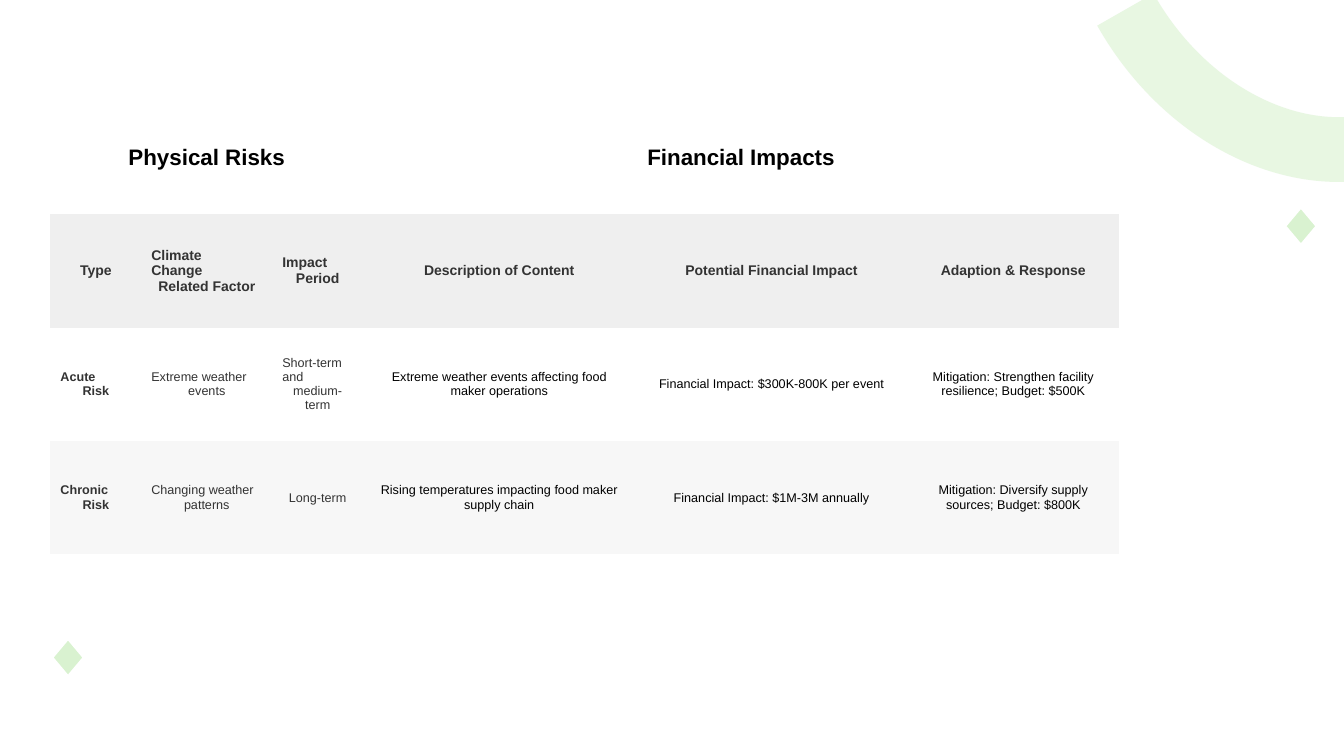
from dataclasses import dataclass

from lxml import etree
from pptx import Presentation
from pptx import util as u
from pptx.dml.color import RGBColor
from pptx.enum import shapes, text
from pptx.oxml import ns


@dataclass(frozen=True)
class Theme:
    font: str = "Arial"
    green: str = "D9F2D0"
    white: str = "FFFFFF"
    black: str = "000000"
    grey: str = "333333"
    header_fill: str = "EFEFEF"
    stripe_fill: str = "F7F7F7"
    title_size: int = 16
    header_size: int = 10
    body_size: int = 9


theme = Theme()
rgb = RGBColor.from_string


def write_cell(cell, wording, *, fill, size, color, bold=False):
    cell.fill.solid()
    cell.fill.fore_color.rgb = rgb(fill)
    cell.vertical_anchor = text.MSO_ANCHOR.MIDDLE
    paragraph = cell.text_frame.paragraphs[0]
    paragraph.alignment = text.PP_ALIGN.CENTER
    run = paragraph.add_run()
    run.text = wording
    run.font.name = theme.font
    run.font.size = u.Pt(size)
    run.font.bold = bold
    run.font.color.rgb = rgb(color)


deck = Presentation()
deck.slide_width, deck.slide_height = u.Cm(33.87), u.Cm(19.05)
slide = deck.slides.add_slide(deck.slide_layouts[6])

# Corner arc, a thick translucent stroke
arc = slide.shapes.add_shape(
    shapes.MSO_SHAPE.ARC, u.Cm(27.69), u.Cm(-8.59), u.Cm(10.16), u.Cm(12.62))
arc.shadow.inherit = False
arc.rotation = 151.3
arc.adjustments[0], arc.adjustments[1] = 152.05, 215.37
arc.fill.background()
arc.line.color.rgb = rgb(theme.green)
arc.line.width = u.Pt(46.25)
arc_color = arc.line._ln.find(".//" + ns.qn("a:srgbClr"))
etree.SubElement(arc_color, ns.qn("a:alpha"), val="60000")

for left, top in [(32.39, 5.23), (1.32, 16.1)]:
    diamond = slide.shapes.add_shape(
        shapes.MSO_SHAPE.DIAMOND, u.Cm(left), u.Cm(top), u.Cm(0.79), u.Cm(0.94))
    diamond.shadow.inherit = False
    diamond.fill.solid()
    diamond.fill.fore_color.rgb = rgb(theme.green)
    diamond.line.color.rgb = rgb(theme.white)
    diamond.line.width = u.Pt(1.5)

# Risk table
column_widths = [2.29, 3.3, 2.29, 6.86, 6.86, 5.33]
group_titles = {0: "Physical Risks", 3: "Financial Impacts"}
headers = ["Type", "Climate\nChange\nRelated Factor", "Impact\nPeriod",
           "Description of Content", "Potential Financial Impact",
           "Adaption & Response"]
risks = [
    ["Acute\nRisk", "Extreme weather\nevents", "Short-term\nand\nmedium-term",
     "Extreme weather events affecting food maker operations",
     "Financial Impact: $300K-800K per event",
     "Mitigation: Strengthen facility resilience; Budget: $500K"],
    ["Chronic\nRisk", "Changing weather\npatterns", "Long-term",
     "Rising temperatures impacting food maker supply chain",
     "Financial Impact: $1M-3M annually",
     "Mitigation: Diversify supply sources; Budget: $800K"],
]

risk_table = slide.shapes.add_table(
    4, len(column_widths), u.Cm(1.27), u.Cm(2.54),
    u.Cm(sum(column_widths)), u.Cm(11.43)).table
risk_table.first_row = risk_table.horz_banding = False
# "No Style, No Grid" keeps the cells free of borders
style_id = risk_table._tbl.tblPr.find(ns.qn("a:tableStyleId"))
style_id.text = "{2D5ABB26-0587-4C30-8999-92F81FD0307C}"
for column, width in zip(risk_table.columns, column_widths):
    column.width = u.Cm(width)

for start, title in group_titles.items():
    group = risk_table.cell(0, start)
    group.merge(risk_table.cell(0, start + 2))
    write_cell(group, title, fill=theme.white, size=theme.title_size,
               color=theme.black, bold=True)

for col, header in enumerate(headers):
    write_cell(risk_table.cell(1, col), header, fill=theme.header_fill,
               size=theme.header_size, color=theme.grey, bold=True)

for row, (risk, fill) in enumerate(zip(risks, [theme.white, theme.stripe_fill]), 2):
    for col, wording in enumerate(risk):
        write_cell(risk_table.cell(row, col), wording, fill=fill,
                   size=theme.body_size, bold=col == 0,
                   color=theme.grey if col < 3 else theme.black)

deck.save("out.pptx")
